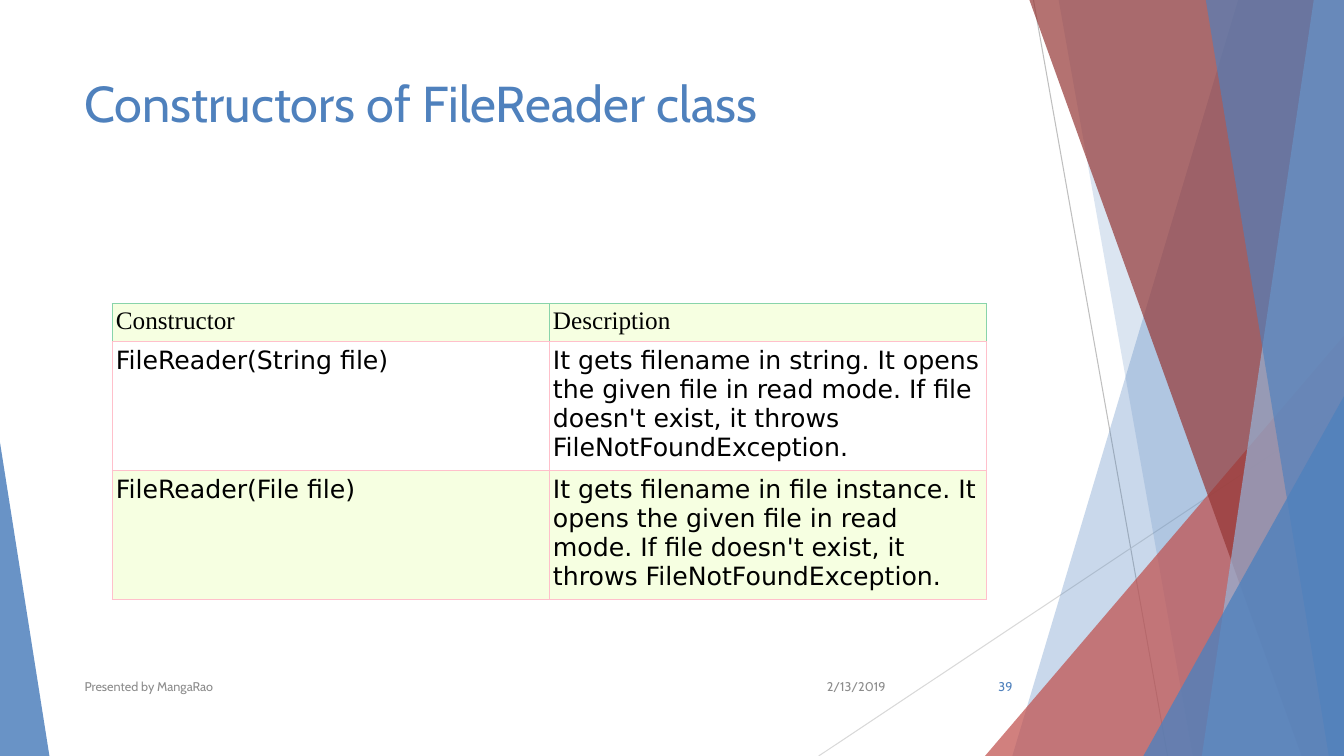
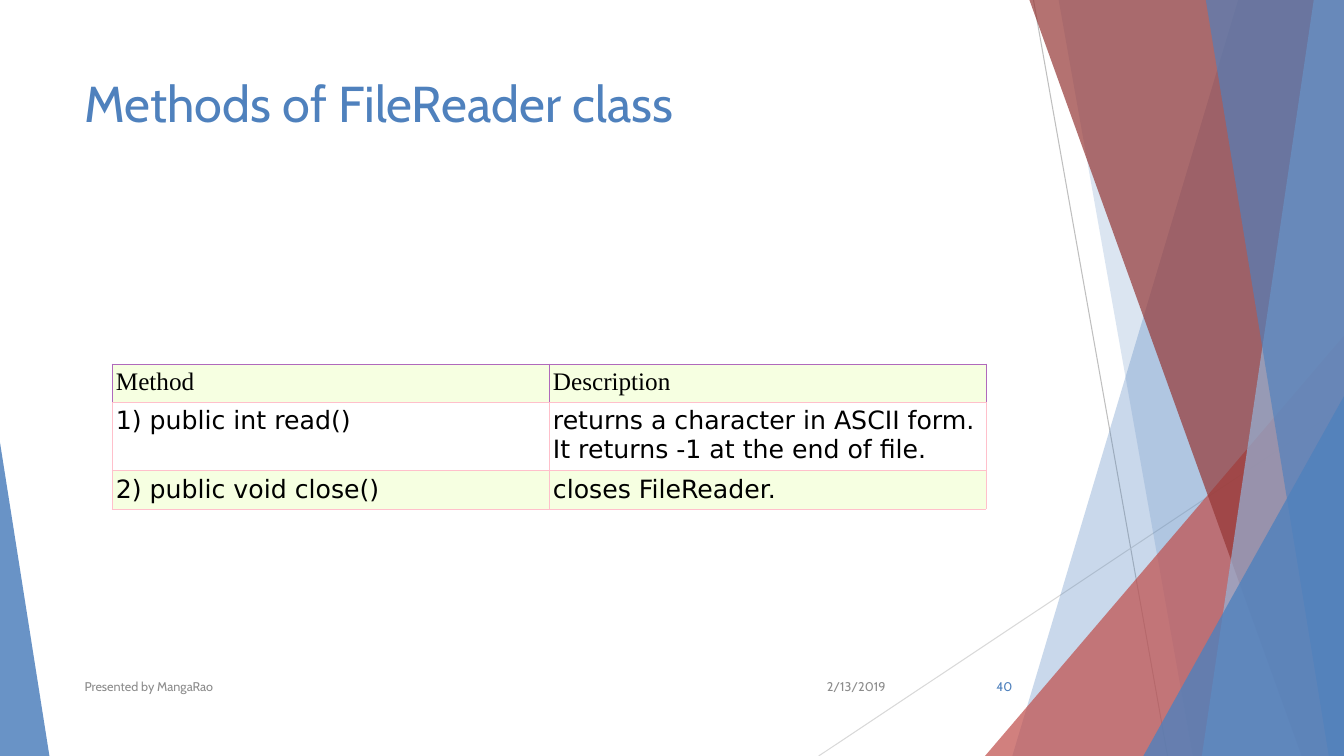
"""Build two slides on the FileReader class, with shared ribbons, title and footer."""
from dataclasses import dataclass
from typing import NamedTuple

from lxml import etree
from pptx import Presentation
from pptx.dml.color import RGBColor
from pptx.enum import shapes as kinds, text as opts
from pptx.oxml import ns
from pptx.slide import Slide
from pptx.util import Inches, Pt


@dataclass(frozen=True)
class Theme:
    """Colours, fonts and type sizes."""
    blue: str = "4F81BD"
    pale: str = "95B3D7"
    red: str = "C0504D"
    dark: str = "953735"
    grey: str = "8C8C8C"
    black: str = "000000"
    white: str = "FFFFFF"
    lime: str = "F6FFE1"
    pink: str = "FFC0CB"
    sans: str = "Cabin"
    serif: str = "Times New Roman"
    plain: str = "DejaVu Sans"
    title: int = 36
    body: int = 18
    small: int = 9


class Box(NamedTuple):
    """Left, top, width and height in inches."""
    x: float
    y: float
    w: float
    h: float

    def emu(self) -> list[int]:
        """Give the box as lengths."""
        return [Inches(v) for v in self]


class Line(NamedTuple):
    """A thin line between two points."""
    x1: float
    y1: float
    x2: float
    y2: float
    color: str


class Band(NamedTuple):
    """A ribbon from the top edge to the bottom, bound by the right edge."""
    top: float
    foot: float
    color: str
    alpha: int


class Wedge(NamedTuple):
    """A right triangle with its peak at one end."""
    box: Box
    peak: int
    color: str
    alpha: int


class Page(NamedTuple):
    """The content of one slide."""
    title: str
    num: int
    top: float
    edge: str
    highs: list[float]
    rows: list[tuple[str, str]]


T = Theme()
WIDE, HIGH = 13.33, 7.5
LINES = [Line(10.25, 0, 11.58, HIGH, "BFBFBF"), Line(WIDE, 4.03, 8.12, HIGH, "D9D9D9")]
ART = [
    Band(12.28, 10.04, T.blue, 30),
    Band(10.5, 11.83, T.blue, 20),
    Wedge(Box(9.77, 3.33, 3.56, 4.17), 1, T.red, 72),
    Band(10.21, 12.91, T.dark, 70),
    Band(13.03, 11.92, T.pale, 70),
    Band(11.96, 13.18, T.blue, 65),
    Wedge(Box(11.34, 3.93, 1.99, 3.57), 1, T.blue, 80),
    Wedge(Box(0, 4.39, 0.49, 3.11), 0, T.blue, 85),
]
PAGES = [
    Page("Constructors of FileReader class", 39, 3.01, "88D4AA", [0.36, 1.25, 1.24], [
        ("Constructor", "Description"),
        ("FileReader(String file)",
         "It gets filename in string. It opens the given file in read mode. "
         "If file doesn't exist, it throws FileNotFoundException."),
        ("FileReader(File file)",
         "It gets filename in file instance. It opens the given file in read mode. "
         "If file doesn't exist, it throws FileNotFoundException."),
    ]),
    Page("Methods of FileReader class", 40, 3.61, "B069BC", [0.36, 0.66, 0.37], [
        ("Method", "Description"),
        ("1) public int read()",
         "returns a character in ASCII form. It returns -1 at the end of file."),
        ("2) public void close()", "closes FileReader."),
    ]),
]


def rgb(color: str) -> RGBColor:
    """Turn a hex string into a colour."""
    return RGBColor.from_string(color)


def style(para, face: str, size: int, color: str) -> None:
    """Set the font of a paragraph."""
    para.font.name = face
    para.font.size = Pt(size)
    para.font.color.rgb = rgb(color)


def tint(shape, color: str, alpha: int) -> None:
    """Give a shape a see-through fill with no line or shadow."""
    shape.shadow.inherit = False
    shape.line.fill.background()
    shape.fill.solid()
    shape.fill.fore_color.rgb = rgb(color)
    clr = shape.element.spPr.find(".//" + ns.qn("a:srgbClr"))
    etree.SubElement(clr, ns.qn("a:alpha"), val=str(alpha * 1000))


def rule(slide: Slide, line: Line) -> None:
    """Draw a thin line."""
    ends = [Inches(v) for v in line[:4]]
    link = slide.shapes.add_connector(kinds.MSO_CONNECTOR.STRAIGHT, *ends)
    link.line.color.rgb = rgb(line.color)
    link.line.width = Pt(0.75)
    etree.SubElement(link.element.spPr, ns.qn("a:effectLst"))


def band(slide: Slide, part: Band) -> None:
    """Draw a ribbon."""
    pen = slide.shapes.build_freeform(Inches(part.top), 0)
    spots = [(WIDE, 0), (WIDE, HIGH), (part.foot, HIGH)]
    pen.add_line_segments([(Inches(x), Inches(y)) for x, y in spots])
    tint(pen.convert_to_shape(), part.color, part.alpha)


def wedge(slide: Slide, part: Wedge) -> None:
    """Draw a right triangle."""
    kind = kinds.MSO_SHAPE.ISOSCELES_TRIANGLE
    shape = slide.shapes.add_shape(kind, *part.box.emu())
    shape.adjustments[0] = part.peak
    tint(shape, part.color, part.alpha)


def write(slide: Slide, box: Box, words: str, size: int, color: str,
          anchor=opts.MSO_ANCHOR.MIDDLE, align=opts.PP_ALIGN.LEFT) -> None:
    """Put one paragraph in a text box."""
    frame = slide.shapes.add_textbox(*box.emu()).text_frame
    frame.word_wrap = True
    frame.vertical_anchor = anchor
    para = frame.paragraphs[0]
    para.text = words
    para.alignment = align
    style(para, T.sans, size, color)


def border(cell, edge: str) -> None:
    """Line a cell, with a pink lower side."""
    props = cell._tc.get_or_add_tcPr()
    for side in "LRTB":
        line = etree.SubElement(props, ns.qn("a:ln" + side), w=str(Pt(0.6)))
        fill = etree.SubElement(line, ns.qn("a:solidFill"))
        color = T.pink if side == "B" else edge
        etree.SubElement(fill, ns.qn("a:srgbClr"), val=color)


def grid(slide: Slide, page: Page) -> None:
    """Draw the table of a page."""
    box = Box(1.11, page.top, 8.67, sum(page.highs))
    table = slide.shapes.add_table(len(page.rows), 2, *box.emu()).table
    table.first_row = table.horz_banding = False
    for i, (row, high) in enumerate(zip(page.rows, page.highs)):
        table.rows[i].height = Inches(high)
        for j, words in enumerate(row):
            cell = table.cell(i, j)
            cell.margin_left = cell.margin_right = Inches(0.04)
            cell.margin_top = cell.margin_bottom = Inches(0.04)
            border(cell, T.pink if i else page.edge)
            cell.fill.solid()
            cell.fill.fore_color.rgb = rgb(T.white if i % 2 else T.lime)
            para = cell.text_frame.paragraphs[0]
            para.text = words
            style(para, T.plain if i else T.serif, T.body, T.black)


def frame(slide: Slide, page: Page) -> None:
    """Draw the ribbons, title and footer."""
    for line in LINES:
        rule(slide, line)
    for part in ART:
        if isinstance(part, Band):
            band(slide, part)
        else:
            wedge(slide, part)
    right = opts.PP_ALIGN.RIGHT
    write(slide, Box(0.74, 0.67, 9.4, 1.44), page.title, T.title, T.blue,
          anchor=opts.MSO_ANCHOR.TOP)
    write(slide, Box(7.88, 6.61, 1, 0.4), "2/13/2019", T.small, T.grey, align=right)
    write(slide, Box(0.74, 6.61, 6.89, 0.4), "Presented by MangaRao", T.small, T.grey)
    write(slide, Box(9.39, 6.61, 0.75, 0.4), str(page.num), T.small, T.blue, align=right)


def main() -> None:
    """Build and save the slides."""
    deck = Presentation()
    deck.slide_width, deck.slide_height = Inches(WIDE), Inches(HIGH)
    for page in PAGES:
        slide = deck.slides.add_slide(deck.slide_layouts[6])
        frame(slide, page)
        grid(slide, page)
    deck.save("out.pptx")


if __name__ == "__main__":
    main()
